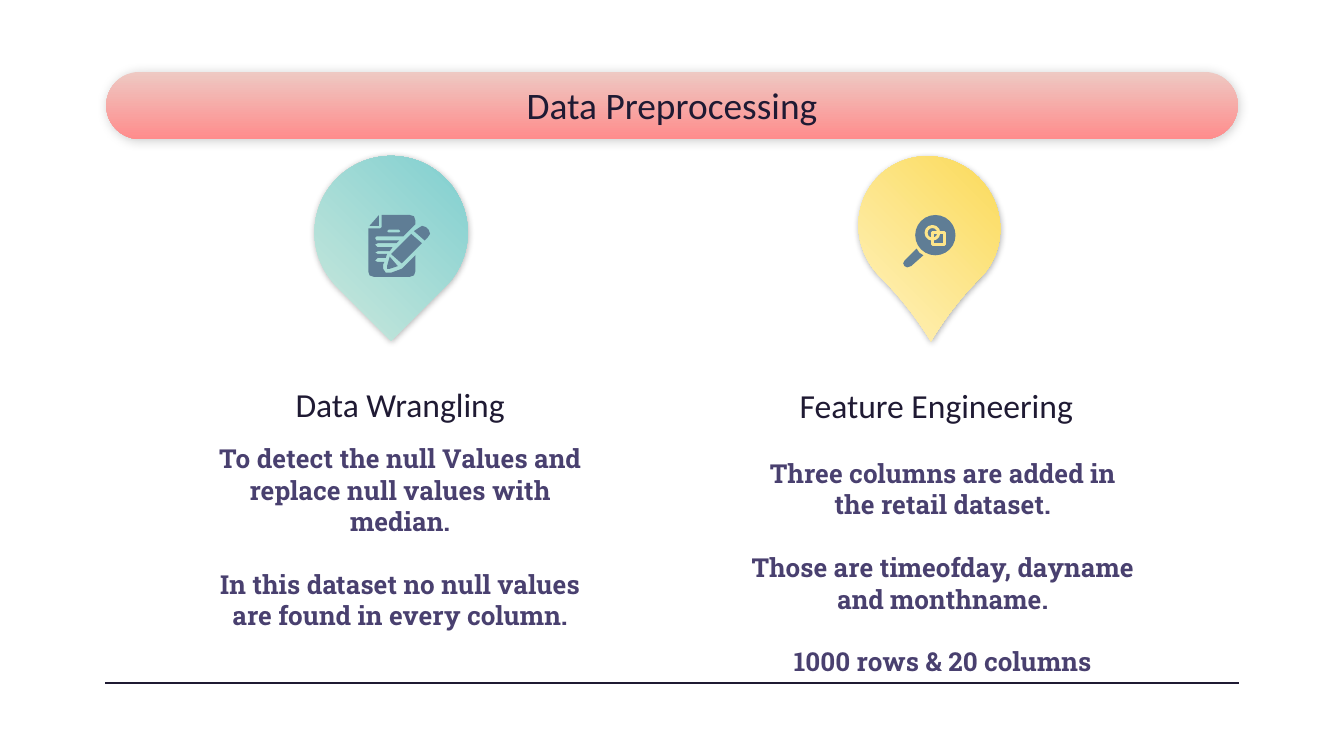
from lxml import etree
from pptx import Presentation
from pptx import util as u
from pptx.dml.color import RGBColor
from pptx.enum import shapes, text
from pptx.oxml.ns import qn

INK = RGBColor(0x1F, 0x1A, 0x33)
PLUM = RGBColor(0x49, 0x40, 0x6F)
SLATE = RGBColor(0x5F, 0x7D, 0x95)
ROSE = RGBColor(0xEE, 0xC9, 0xC3)
CORAL = RGBColor(0xFF, 0x8C, 0x8C)
MINT = RGBColor(0xD4, 0xEB, 0xDE)
TEAL = RGBColor(0x70, 0xCA, 0xCD)
CREAM = RGBColor(0xFF, 0xF3, 0xC4)
GOLD = RGBColor(0xFA, 0xD6, 0x47)
LEMON = RGBColor(0xFD, 0xE5, 0x8A)

# Grid: 1000 columns by 562.5 rows of equal cells (16:9)
CELL = u.Inches(0.01)
KIND = shapes.MSO_SHAPE


def grid(*cells):
    return [u.Emu(int(n * CELL)) for n in cells]


deck = Presentation()
deck.slide_width, deck.slide_height = grid(1000, 562.5)
slide = deck.slides.add_slide(deck.slide_layouts[6])
parts = slide.shapes


def trace(*loops):
    """Fill one outline; later loops cut holes."""
    pen = parts.build_freeform(*loops[0][0], scale=CELL)
    pen.add_line_segments(loops[0][1:], close=True)
    for loop in loops[1:]:
        pen.move_to(*loop[0])
        pen.add_line_segments(loop[1:], close=True)
    form = pen.convert_to_shape()
    form.shadow.inherit = False
    form.fill.solid()
    form.fill.fore_color.rgb = SLATE
    form.line.fill.background()


# Title bar and the two drops: gradient and soft shadow
for kind, box, adj, turn, tints, blur, alpha in [
    (KIND.ROUNDED_RECTANGLE, (79, 53.5, 842, 50), 0.5, 0, (ROSE, CORAL), 5.6, 20),
    (KIND.TEAR, (234, 116, 114, 114), 1, 225, (MINT, TEAL), 3.4, 30),
    (KIND.TEAR, (638, 117, 107, 104), 1.14, 225, (CREAM, GOLD), 3.4, 30),
]:
    form = parts.add_shape(kind, *grid(*box))
    form.adjustments[0] = adj
    form.rotation = turn
    form.fill.gradient()
    form.fill.gradient_angle = 270
    for stop, tint in zip(form.fill.gradient_stops, tints):
        stop.color.rgb = tint
    form.line.fill.background()
    form.shadow.inherit = False
    props = form._element.spPr
    if turn:
        props.find(qn("a:xfrm")).set("flipH", "1")
    shade = etree.SubElement(
        props.find(qn("a:effectLst")), qn("a:outerShdw"),
        blurRad=str(u.Pt(blur)), dist=str(u.Pt(0.8)),
        dir=str(66 * 60000), algn="bl", rotWithShape="0")
    black = etree.SubElement(shade, qn("a:srgbClr"), val="000000")
    etree.SubElement(black, qn("a:alpha"), val=str(alpha * 1000))

# Base line
rule = parts.add_connector(shapes.MSO_CONNECTOR.STRAIGHT,
                           *grid(78.4, 508.3, 921.6, 508.3))
rule.line.color.rgb = INK
rule.line.width = u.Pt(0.75)
etree.SubElement(rule._element.spPr, qn("a:effectLst"))

# Note icon: sheet with its text rows cut out, then folded corner
trace(
    [(284, 160), (284, 169), (283, 170), (274, 170), (274, 202), (275, 205),
     (278, 206), (305, 206), (308, 205), (309, 202), (309, 190), (299, 200),
     (291, 203), (287, 203), (285, 200), (285, 197), (286, 195), (281, 195),
     (279, 194), (281, 192), (287, 192), (288, 189), (281, 189), (279, 188),
     (281, 187), (290, 187), (292, 184), (281, 184), (279, 182), (281, 181),
     (295, 181), (297, 179), (280, 179), (279, 177), (280, 176), (300, 176),
     (309, 167), (309, 164), (308, 161), (305, 160)],
    [(289, 171), (297, 171), (298, 172), (297, 173), (289, 173), (288, 172)])
trace([(282, 160), (275, 168), (282, 168)])

# Pencil: tip, body, end
trace([(290, 191), (288, 198), (288, 200), (290, 200), (296, 198)])
trace([(306, 174), (291, 189), (299, 196), (314, 181)])
trace([(314, 168), (311, 170), (308, 172), (316, 179), (318, 177),
       (320, 174), (319, 171), (317, 169)])

# Lens icon: handle, glass, and the ring and square in it
trace([(682, 185), (673, 194), (672, 196), (673, 198), (675, 199),
       (678, 198), (687, 190), (684, 188)])
for kind, box, wide in [(KIND.OVAL, (681, 160, 30, 30), 0),
                        (KIND.OVAL, (689, 168.5, 9.5, 9.5), 1.6),
                        (KIND.RECTANGLE, (694, 173, 9, 9), 1.5)]:
    form = parts.add_shape(kind, *grid(*box))
    form.shadow.inherit = False
    if wide:
        form.fill.background()
        form.line.color.rgb = LEMON
        form.line.width = u.Pt(wide)
    else:
        form.fill.solid()
        form.fill.fore_color.rgb = SLATE
        form.line.fill.background()

# Title, headings and body texts
HEAD = ("Calibri", INK, False)
BODY = ("Roboto Slab", PLUM, True)
LEAD = u.Pt(16.8)
for box, (font, hue, bold), size, lines in [
    ((247, 53, 506, 50), HEAD, 20, ["Data Preprocessing"]),
    ((142.3, 276, 311, 49), HEAD, 18, ["Data Wrangling"]),
    ((541.3, 276.4, 311, 49), HEAD, 18, ["Feature Engineering"]),
    ((142.3, 319.5, 311, 190), BODY, 14, [
        "To detect the null Values and replace null values with median.",
        "In this dataset no null values are found in every column."]),
    ((546, 330.4, 311, 178), BODY, 14, [
        "Three columns are added in the retail dataset.",
        "Those are timeofday, dayname and monthname.",
        "1000 rows & 20 columns"]),
]:
    frame = parts.add_textbox(*grid(*box)).text_frame
    frame.word_wrap = True
    frame.margin_left = frame.margin_right = 10 * CELL
    frame.margin_top = frame.margin_bottom = 10 * CELL
    frame.vertical_anchor = (text.MSO_ANCHOR.MIDDLE if size == 20
                             else text.MSO_ANCHOR.TOP)
    for i, line in enumerate(lines):
        para = frame.add_paragraph() if i else frame.paragraphs[0]
        para.alignment = text.PP_ALIGN.CENTER
        if bold:
            para.line_spacing = LEAD
            para.space_before = LEAD if i else 0
        run = para.add_run()
        run.text = line
        run.font.name = font
        run.font.size = u.Pt(size)
        run.font.bold = bold
        run.font.color.rgb = hue

deck.save("out.pptx")
